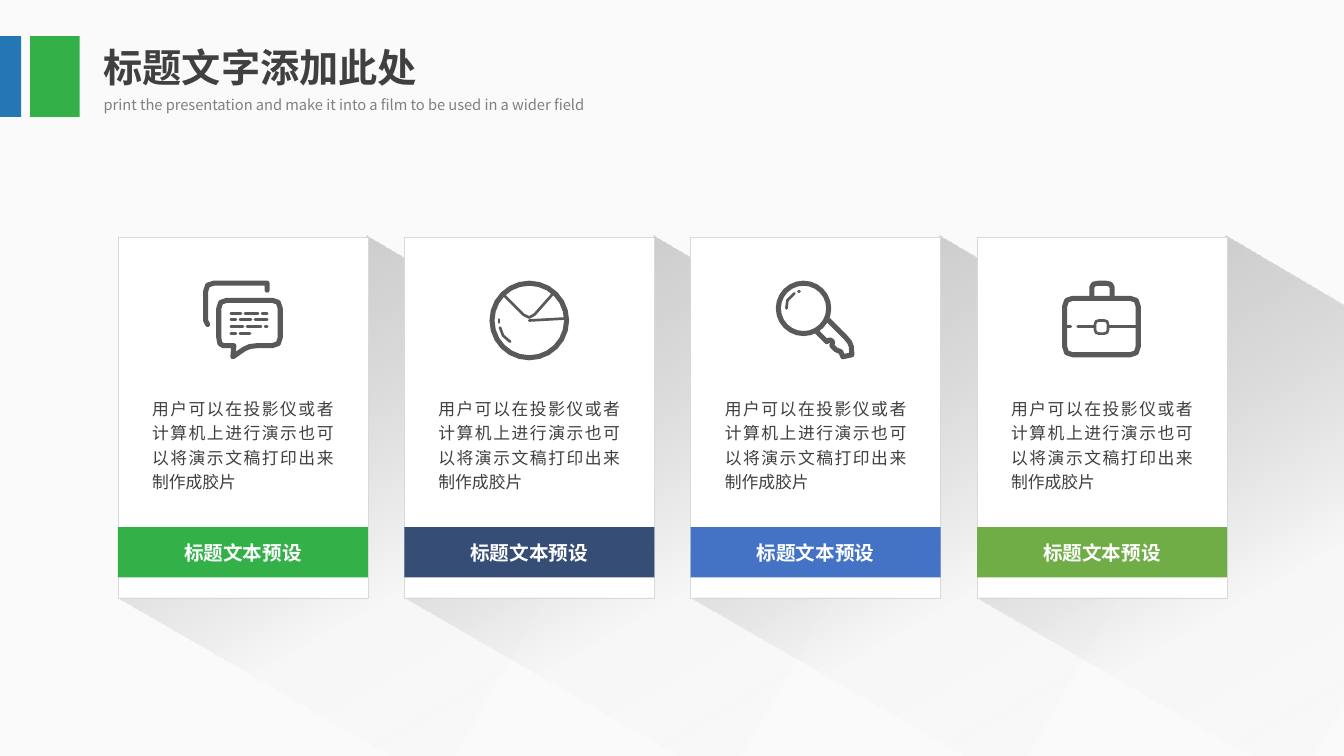
from math import cos, hypot, pi, sin

from lxml.etree import SubElement
from pptx import Presentation
from pptx.dml.color import RGBColor
from pptx.enum.shapes import MSO_SHAPE as Shape
from pptx.enum.text import MSO_ANCHOR as Anchor, MSO_AUTO_SIZE as AutoSize, PP_ALIGN as Align
from pptx.oxml.ns import qn
from pptx.util import Inches, Pt

WIDTH, HEIGHT = 13.33, 7.5
FONT = "Noto Sans CJK SC"
COLORS = {
    "background": "FAFAFA", "card": "FFFFFF", "border": "D9D9D9", "icon": "595959",
    "text": "404040", "subtitle": "808080", "white": "FFFFFF", "blue": "2576B5",
    "green": "33B048", "navy": "364D76", "royal": "4472C4", "olive": "70AD47",
    "shade": "000000", "haze": "F2F2F2",
}
CARD_LEFT, CARD_TOP, CARD_WIDTH, CARD_HEIGHT, CARD_PITCH = 1.17, 2.35, 2.48, 3.58, 2.84
THICK, THIN, CORNER, SHORT_EDGE = 3.6, 1.9, 0.08, 0.12
BODY = "用户可以在投影仪或者计算机上进行演示也可以将演示文稿打印出来制作成胶片"
SHADOW_OUTLINE = [(0, 4.34), (0.32, 0), (3.65, 0.03), (3.65, 4.34), (0, 4.34)]
SHADOW_STOPS = [(0, "shade", 20), (61, "haze", 34), (100, "haze", 0)]


def ring(center, radius, steps=24):
    """Return the points of a closed circle."""
    angles = [2 * pi * (step % steps) / steps for step in range(steps + 1)]
    return [(center + radius * cos(angle), center + radius * sin(angle)) for angle in angles]


def rectangle(left, top, right, bottom):
    """Return the points of a closed rectangle."""
    return [(left, top), (right, top), (right, bottom), (left, bottom), (left, top)]


def dashes(y, *spans):
    """Return a row of horizontal dashes."""
    return [[(start, y), (end, y)] for start, end in spans]


ICONS = {
    "chat": {
        THICK: [[(0.05, 0.44), (0.03, 0.4), (0.03, 0.03), (0.64, 0.03), (0.64, 0.1)],
                [(0.16, 0.2), (0.77, 0.2), (0.77, 0.65), (0.46, 0.65), (0.3, 0.76),
                 (0.31, 0.65), (0.16, 0.65), (0.16, 0.2)]],
        THIN: [*dashes(0.33, (0.28, 0.38), (0.42, 0.55), (0.59, 0.64)),
               *dashes(0.39, (0.28, 0.33), (0.37, 0.48), (0.52, 0.64)),
               *dashes(0.46, (0.28, 0.4), (0.44, 0.58), (0.62, 0.64)),
               *dashes(0.53, (0.28, 0.33), (0.37, 0.47))],
    },
    "pie": {
        THICK: [ring(0.4, 0.37)],
        THIN: [[(0.15, 0.15), (0.4, 0.4), (0.63, 0.14)], [(0.4, 0.4), (0.76, 0.38)],
               [(0.11, 0.47), (0.14, 0.55), (0.21, 0.61)], [(0.1, 0.39), (0.1, 0.42)]],
    },
    "key": {
        THICK: [ring(0.28, 0.25),
                [(0.51, 0.38), (0.75, 0.62), (0.76, 0.74), (0.67, 0.76), (0.65, 0.71),
                 (0.6, 0.69), (0.56, 0.65), (0.57, 0.61), (0.54, 0.59), (0.51, 0.61),
                 (0.41, 0.51)]],
        THIN: [[(0.11, 0.28), (0.12, 0.2), (0.19, 0.13)], *dashes(0.11, (0.23, 0.24))],
    },
    "case": {
        THICK: [rectangle(0.03, 0.18, 0.76, 0.74),
                [(0.3, 0.16), (0.3, 0.03), (0.5, 0.03), (0.5, 0.16)]],
        THIN: [rectangle(0.33, 0.4, 0.46, 0.53),
               *dashes(0.46, (0.05, 0.09), (0.16, 0.32), (0.47, 0.74))],
    },
}


def rgb(name):
    """Return the named colour."""
    return RGBColor.from_string(COLORS[name])


def paint(shape, fill, line, weight):
    """Set the fill and outline of a shape and remove its shadow."""
    shape.shadow.inherit = False
    if fill:
        shape.fill.solid()
        shape.fill.fore_color.rgb = rgb(fill)
    else:
        shape.fill.background()
    if line:
        shape.line.color.rgb = rgb(line)
        shape.line.width = Pt(weight)
    else:
        shape.line.fill.background()


def add_block(slide, box, fill, line=None):
    """Add a filled rectangle with an optional hairline."""
    shape = slide.shapes.add_shape(Shape.RECTANGLE, *map(Inches, box))
    paint(shape, fill, line, 0.25)
    return shape


def write(text_frame, text, size, color, bold=False, align=None, spacing=None):
    """Write one formatted paragraph into a text frame."""
    text_frame.text = text
    paragraph = text_frame.paragraphs[0]
    paragraph.alignment = align
    paragraph.line_spacing = spacing
    run = paragraph.runs[0]
    run.font.size, run.font.bold, run.font.name = Pt(size), bold, FONT
    run.font.color.rgb = rgb(color)
    SubElement(run.font._element, qn("a:ea"), typeface=FONT)


def add_text(slide, box, text, size, color, **style):
    """Add a wrapping text box."""
    text_frame = slide.shapes.add_textbox(*map(Inches, box)).text_frame
    text_frame.word_wrap = True
    text_frame.auto_size = AutoSize.SHAPE_TO_FIT_TEXT
    write(text_frame, text, size, color, **style)


def soften(points):
    """Replace the corners between long edges by short curves."""
    closed = points[0] == points[-1]
    corners = points[:-1] if closed else points
    result = []
    for index, (x, y) in enumerate(corners):
        neighbours = [corners[index - 1], corners[(index + 1) % len(corners)]]
        lengths = [hypot(nx - x, ny - y) for nx, ny in neighbours]
        at_end = not closed and index in (0, len(corners) - 1)
        if at_end or min(lengths) < SHORT_EDGE:
            result.append((x, y))
            continue
        shares = [min(CORNER, length * 0.3) / length for length in lengths]
        (ax, ay), (bx, by) = [(x + (nx - x) * share, y + (ny - y) * share)
                              for (nx, ny), share in zip(neighbours, shares)]
        middle = ((ax + 2 * x + bx) / 4, (ay + 2 * y + by) / 4)
        result += [(ax, ay), middle, (bx, by)]
    return result + result[:1] if closed else result


def add_freeform(slide, left, top, outlines):
    """Add one freeform made of outlines measured from a corner."""
    builder = None
    for outline in outlines:
        start, *rest = [(Inches(left + x), Inches(top + y)) for x, y in outline]
        if builder is None:
            builder = slide.shapes.build_freeform(*start, scale=1.0)
        else:
            builder.move_to(*start)
        builder.add_line_segments(rest, close=outline[0] == outline[-1])
    return builder.convert_to_shape()


def add_icon(slide, left, top, strokes_by_weight):
    """Draw an icon as one freeform for each stroke weight."""
    for weight, strokes in strokes_by_weight.items():
        shape = add_freeform(slide, left, top, [soften(stroke) for stroke in strokes])
        paint(shape, None, "icon", weight)
        line = shape._element.spPr.find(qn("a:ln"))
        line.set("cap", "rnd")
        SubElement(line, qn("a:round"))


def add_card_shadow(slide, left, top):
    """Add the long fading shadow of a card."""
    shape = add_freeform(slide, left + 0.86, top + 0.45, [SHADOW_OUTLINE])
    paint(shape, None, None, 0)
    shape.rotation = 30
    properties = shape._element.spPr
    gradient = SubElement(properties, qn("a:gradFill"), rotWithShape="1")
    stops = SubElement(gradient, qn("a:gsLst"))
    for position, color, opacity in SHADOW_STOPS:
        stop = SubElement(stops, qn("a:gs"), pos=str(position * 1000))
        tint = SubElement(stop, qn("a:srgbClr"), val=COLORS[color])
        SubElement(tint, qn("a:alpha"), val=str(opacity * 1000))
    SubElement(gradient, qn("a:lin"), ang=str(30 * 60000), scaled="0")
    properties.replace(properties.find(qn("a:noFill")), gradient)


def add_card(slide, left, top, color, icon):
    """Add a card with its icon, text and coloured banner."""
    add_block(slide, (left, top, CARD_WIDTH, CARD_HEIGHT), "card", "border")
    banner = add_block(slide, (left, top + 2.88, CARD_WIDTH, 0.5), color)
    banner.text_frame.vertical_anchor = Anchor.MIDDLE
    banner.text_frame.word_wrap = False
    write(banner.text_frame, "标题文本预设", 14, "white", bold=True, align=Align.CENTER)
    add_icon(slide, left + 0.84, top + 0.43, ICONS[icon])
    add_text(slide, (left + 0.24, top + 1.52, 2, 1.07), BODY, 12, "text",
             align=Align.JUSTIFY, spacing=1.2)


def add_header(slide, top):
    """Add the title, the subtitle and the two marker blocks."""
    add_text(slide, (0.93, top + 0.02, 3.6, 0.57), "标题文字添加此处", 28, "text", bold=True)
    add_text(slide, (0.93, top + 0.51, 5.34, 0.3),
             "print the presentation and make it into a film to be used in a wider field",
             10.5, "subtitle", spacing=1.2)
    add_block(slide, (0.3, top, 0.49, 0.8), "green")
    add_block(slide, (0, top, 0.21, 0.8), "blue")


def main():
    """Build and save the slide."""
    presentation = Presentation()
    presentation.slide_width, presentation.slide_height = Inches(WIDTH), Inches(HEIGHT)
    slide = presentation.slides.add_slide(presentation.slide_layouts[6])
    slide.background.fill.solid()
    slide.background.fill.fore_color.rgb = rgb("background")
    cards = [("green", "chat"), ("navy", "pie"), ("royal", "key"), ("olive", "case")]
    lefts = [CARD_LEFT + index * CARD_PITCH for index in range(len(cards))]
    for left in lefts:
        add_card_shadow(slide, left, CARD_TOP)
    for left, (color, icon) in zip(lefts, cards):
        add_card(slide, left, CARD_TOP, color, icon)
    add_header(slide, 0.36)
    presentation.save("out.pptx")


if __name__ == "__main__":
    main()
